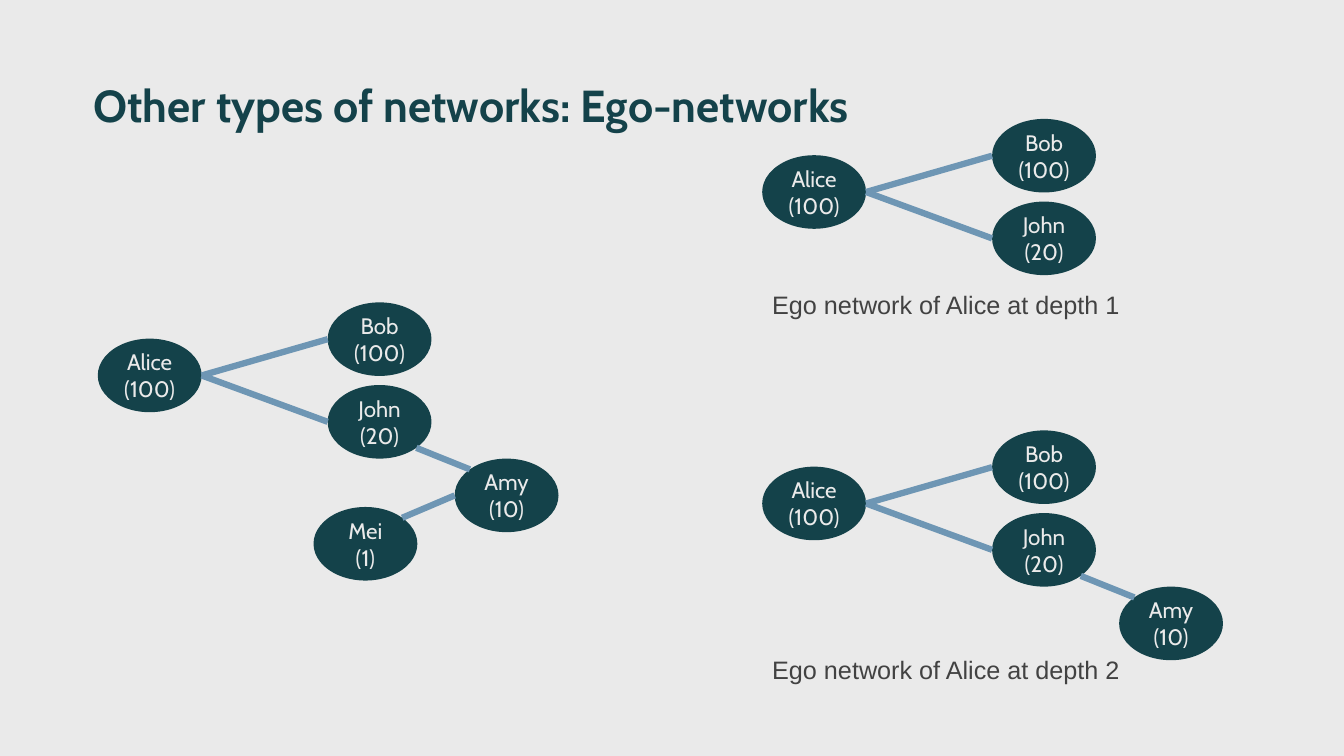
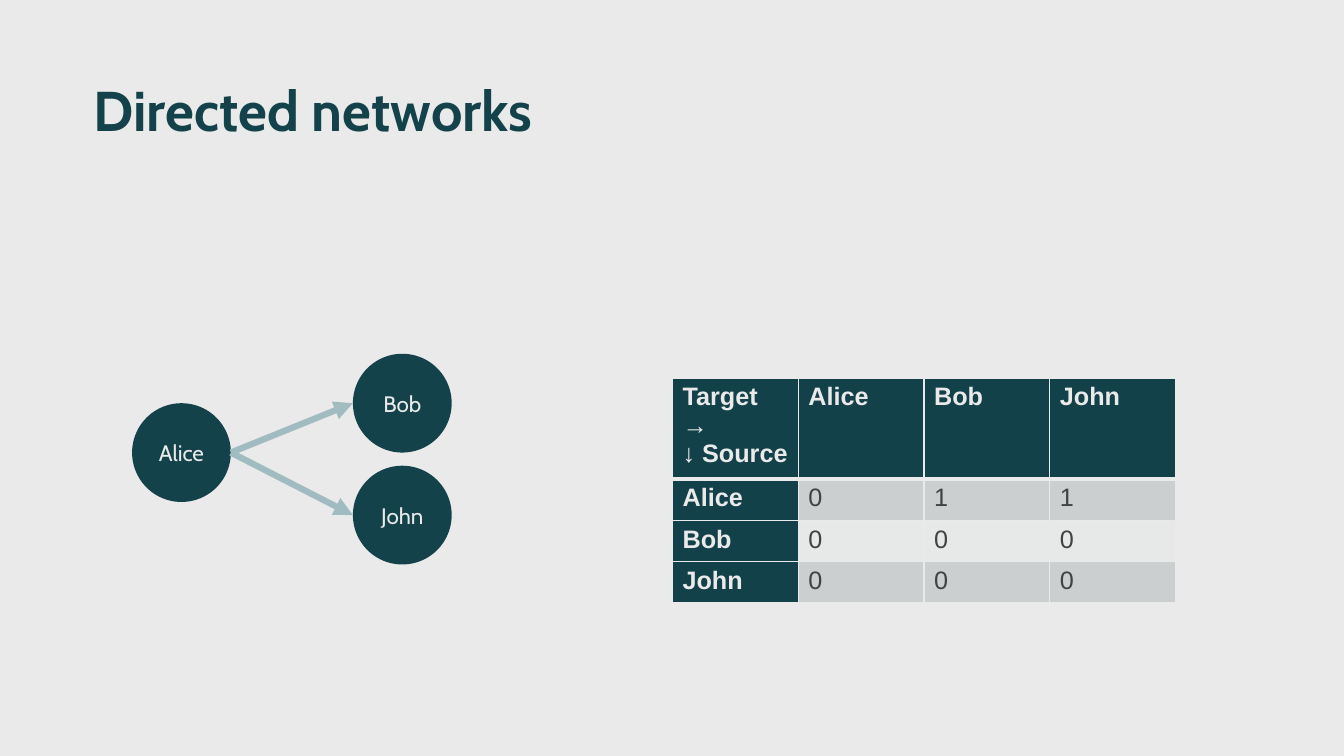
import math

import lxml.etree
import pptx
import pptx.dml.color
import pptx.enum.shapes
import pptx.enum.text
import pptx.oxml.ns
import pptx.util

Inches = pptx.util.Inches
Pt = pptx.util.Pt
RGBColor = pptx.dml.color.RGBColor
qn = pptx.oxml.ns.qn

# Shared look
BACKGROUND = RGBColor(0xEA, 0xEA, 0xEA)
TEAL = RGBColor(0x14, 0x42, 0x4A)
TABLE_TEAL = RGBColor(0x13, 0x41, 0x4A)
EDGE_BLUE = RGBColor(0x6E, 0x96, 0xB4)
ARROW_TEAL = RGBColor(0xA1, 0xBC, 0xC0)
BODY_GREY = RGBColor(0x42, 0x42, 0x42)
BANDS = (RGBColor(0xCC, 0xCF, 0xD0), RGBColor(0xE7, 0xE9, 0xE9))
NODE_FONT = "Cabin"
BODY_FONT = "Arial"

# Direction from a node's centre to each place where an edge can meet it
DIAGONAL = math.sqrt(0.5)
SITES = {
    "left": (-1, 0),
    "right": (1, 0),
    "top left": (-DIAGONAL, -DIAGONAL),
    "top right": (DIAGONAL, -DIAGONAL),
    "bottom right": (DIAGONAL, DIAGONAL),
}

# Ego network: offsets of the nodes from the corner of the network
EGO_NODE_SIZE = (1.03, 0.73)
EGO_NODES = {
    "Alice": ("Alice\n(100)", 0, 0.36),
    "Bob": ("Bob\n(100)", 2.28, 0),
    "John": ("John\n(20)", 2.28, 0.82),
    "Amy": ("Amy\n(10)", 3.54, 1.55),
    "Mei": ("Mei\n(1)", 2.14, 2.03),
}
EGO_EDGES = [
    ("Alice", "right", "John", "left"),
    ("Alice", "right", "Bob", "left"),
    ("John", "bottom right", "Amy", "top left"),
    ("Mei", "top right", "Amy", "left"),
]

# Directed network
DIRECTED_NODE_SIZE = (0.98, 0.98)
DIRECTED_NODES = {
    "Alice": ("Alice", 0, 0.49),
    "Bob": ("Bob", 2.19, 0),
    "John": ("John", 2.19, 1.11),
}
DIRECTED_EDGES = EGO_EDGES[:2]

ADJACENCY = [
    ["Target →\n↓ Source", "Alice", "Bob", "John"],
    ["Alice", "0", "1", "1"],
    ["Bob", "0", "0", "0"],
    ["John", "0", "0", "0"],
]


def style_text(text_frame, font_name, size, color, bold=False, alignment=None):
    for paragraph in text_frame.paragraphs:
        paragraph.alignment = alignment
        for run in paragraph.runs:
            run.font.name = font_name
            run.font.size = Pt(size)
            run.font.bold = bold
            run.font.color.rgb = color


def add_titled_slide(presentation, title, size, width):
    slide = presentation.slides.add_slide(presentation.slide_layouts[6])
    slide.background.fill.solid()
    slide.background.fill.fore_color.rgb = BACKGROUND
    box = slide.shapes.add_textbox(Inches(0.83), Inches(0.78), Inches(width), Inches(1.3))
    box.text_frame.word_wrap = True
    box.text_frame.text = title
    box.text_frame.paragraphs[0].line_spacing = 0.9
    style_text(box.text_frame, NODE_FONT, size, TEAL, bold=True)
    return slide


def add_node(shapes, text, left, top, size):
    node = shapes.add_shape(
        pptx.enum.shapes.MSO_SHAPE.OVAL,
        Inches(left), Inches(top), Inches(size[0]), Inches(size[1]))
    node.shadow.inherit = False
    node.fill.solid()
    node.fill.fore_color.rgb = TEAL
    node.line.fill.background()
    frame = node.text_frame
    frame.word_wrap = False
    frame.vertical_anchor = pptx.enum.text.MSO_ANCHOR.MIDDLE
    frame.text = text
    style_text(frame, NODE_FONT, 16, BACKGROUND,
               alignment=pptx.enum.text.PP_ALIGN.CENTER)
    return node


def site_point(node, site):
    across, down = SITES[site]
    return (int(node.left + node.width * (1 + across) / 2),
            int(node.top + node.height * (1 + down) / 2))


def add_edge(shapes, start, end, color, arrow):
    edge = shapes.add_connector(pptx.enum.shapes.MSO_CONNECTOR.STRAIGHT, *start, *end)
    edge.line.color.rgb = color
    edge.line.width = Pt(4.5)
    if arrow:
        line = edge.line._get_or_add_ln()
        lxml.etree.SubElement(line, qn("a:tailEnd"), type="triangle")
    lxml.etree.SubElement(edge._element.spPr, qn("a:effectLst"))


def add_network(slide, left, top, nodes, edges, size, color, arrow=False):
    """Draw the nodes, and every edge whose two ends are among them."""
    group = slide.shapes.add_group_shape()
    drawn = {name: add_node(group.shapes, text, left + x, top + y, size)
             for name, (text, x, y) in nodes.items()}
    for source, source_site, target, target_site in edges:
        if source in drawn and target in drawn:
            add_edge(group.shapes, site_point(drawn[source], source_site),
                     site_point(drawn[target], target_site), color, arrow)
    return group


def add_ego_network(slide, left, top, names, caption=None, caption_offset=0):
    nodes = {name: EGO_NODES[name] for name in names}
    group = add_network(slide, left, top, nodes, EGO_EDGES, EGO_NODE_SIZE, EDGE_BLUE)
    if caption:
        box = group.shapes.add_textbox(
            Inches(left), Inches(top + caption_offset), Inches(3.68), Inches(0.4))
        box.text_frame.word_wrap = False
        box.text_frame.text = caption
        style_text(box.text_frame, BODY_FONT, 18, BODY_GREY)


def set_borders(cell, widths):
    properties = cell._tc.get_or_add_tcPr()
    for side, width in widths.items():
        border = lxml.etree.SubElement(properties, qn("a:ln" + side), w=str(Pt(width)))
        fill = lxml.etree.SubElement(border, qn("a:solidFill"))
        lxml.etree.SubElement(fill, qn("a:srgbClr"), val=str(BACKGROUND))


def add_adjacency_table(slide, left, top, width, height):
    rows, columns = len(ADJACENCY), len(ADJACENCY[0])
    table = slide.shapes.add_table(
        rows, columns, Inches(left), Inches(top), Inches(width), Inches(height)).table
    table.horz_banding = False
    for row in table.rows:
        row.height = Inches(0.41)
    for row_index, values in enumerate(ADJACENCY):
        for column_index, value in enumerate(values):
            cell = table.cell(row_index, column_index)
            is_header = row_index == 0 or column_index == 0
            # A thick rule parts the header row from the body
            set_borders(cell, {"L": 1, "R": 1,
                               "T": 3 if row_index == 1 else 1,
                               "B": 3 if row_index == 0 else 1})
            cell.fill.solid()
            cell.fill.fore_color.rgb = (
                TABLE_TEAL if is_header else BANDS[(row_index - 1) % 2])
            cell.text_frame.text = value
            style_text(cell.text_frame, BODY_FONT, 18,
                       BACKGROUND if is_header else BODY_GREY, bold=is_header)


def build_ego_slide(presentation):
    slide = add_titled_slide(
        presentation, "Other types of networks: Ego-networks", 32, 11.35)
    add_ego_network(slide, 0.97, 3, ["Alice", "Bob", "John", "Amy", "Mei"])
    add_ego_network(slide, 7.56, 1.18, ["Alice", "Bob", "John"],
                    "Ego network of Alice at depth 1", 1.64)
    add_ego_network(slide, 7.56, 4.27, ["Alice", "Bob", "John", "Amy"],
                    "Ego network of Alice at depth 2", 2.17)


def build_directed_slide(presentation):
    slide = add_titled_slide(presentation, "Directed networks", 40, 5.83)
    add_network(slide, 1.31, 3.51, DIRECTED_NODES, DIRECTED_EDGES,
                DIRECTED_NODE_SIZE, ARROW_TEAL, arrow=True)
    add_adjacency_table(slide, 6.67, 3.75, 4.99, 1.64)


def main():
    presentation = pptx.Presentation()
    presentation.slide_width = Inches(13.33)
    presentation.slide_height = Inches(7.5)
    build_ego_slide(presentation)
    build_directed_slide(presentation)
    presentation.save("out.pptx")


if __name__ == "__main__":
    main()
